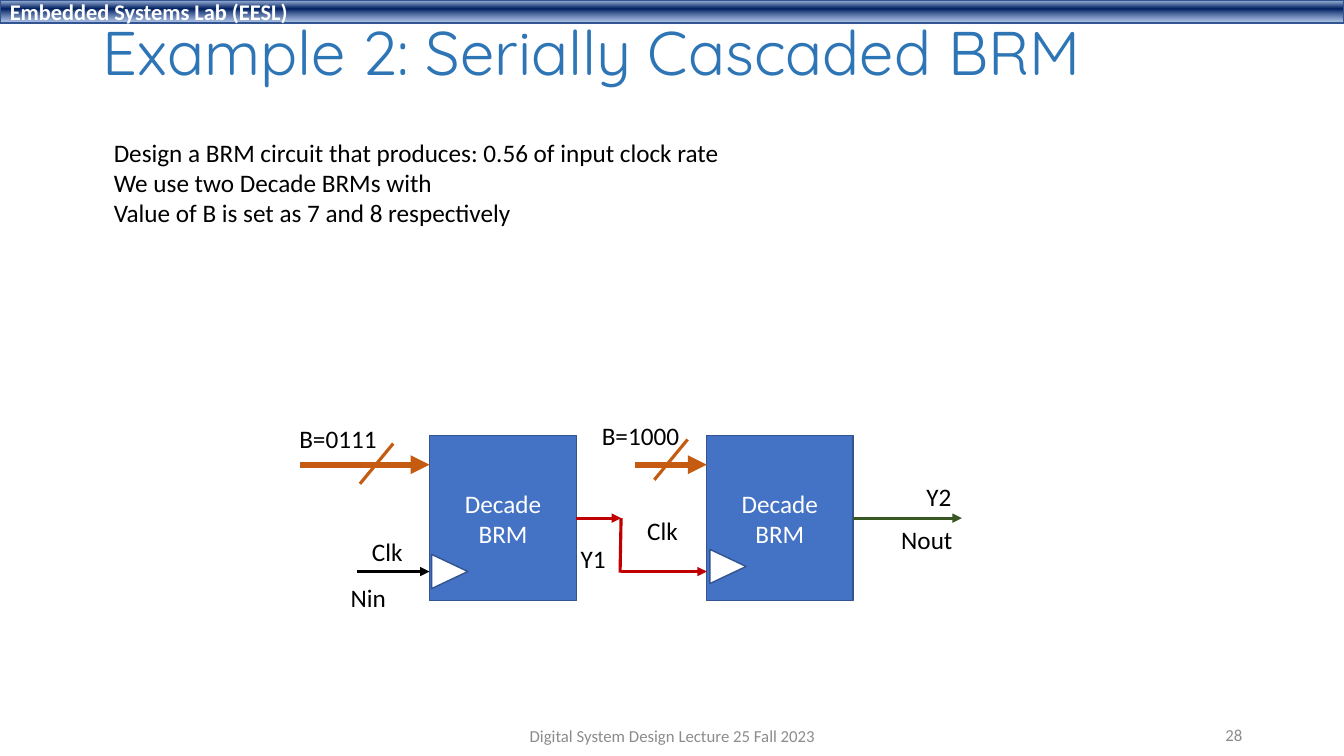
from dataclasses import dataclass

import lxml.etree
import pptx
import pptx.dml.color
import pptx.enum.shapes
import pptx.enum.text
import pptx.oxml.ns
import pptx.shapes.autoshape
import pptx.slide
import pptx.util

Inches = pptx.util.Inches
Pt = pptx.util.Pt
RGB = pptx.dml.color.RGBColor.from_string
Shape = pptx.enum.shapes.MSO_SHAPE
Align = pptx.enum.text.PP_ALIGN
Anchor = pptx.enum.text.MSO_ANCHOR
AutoSize = pptx.enum.text.MSO_AUTO_SIZE
qn = pptx.oxml.ns.qn


@dataclass(frozen=True)
class Theme:
    body_font: str = "Calibri"
    title_font: str = "Quicksand"
    title_size: float = 44
    body_size: float = 18
    header_size: float = 16
    footer_size: float = 12
    title: str = "2E75B6"
    text: str = "000000"
    white: str = "FFFFFF"
    footer: str = "8C8C8C"
    block: str = "4472C4"
    outline: str = "325491"
    bus: str = "C55A11"
    cascade: str = "C00000"
    output: str = "385723"
    # position %, colour, opacity %
    header_stops: tuple[tuple[int, str, int], ...] = (
        (2, "ABC0E4", 100), (38, "002060", 100), (93, "7E9ED6", 64))


THEME = Theme()


@dataclass(frozen=True)
class Box:
    left: float
    top: float
    width: float
    height: float

    def emu(self) -> tuple[int, ...]:
        return tuple(Inches(v) for v in (self.left, self.top, self.width, self.height))


@dataclass(frozen=True)
class Style:
    size: float = THEME.body_size
    color: str = THEME.text
    font: str = THEME.body_font
    bold: bool = False
    align: Align = Align.LEFT
    anchor: Anchor = Anchor.TOP
    line_spacing: float = 1.0


@dataclass(frozen=True)
class Wire:
    start: tuple[float, float]
    end: tuple[float, float]
    color: str
    width: float = 2.25
    arrow: bool = True


@dataclass(frozen=True)
class Label:
    text: str
    left: float
    top: float
    width: float


@dataclass(frozen=True)
class Stage:
    block: Box
    clock_mark: Box
    bus_start: float
    slash_top: tuple[float, float]


LABEL_HEIGHT = 0.4
BUS_Y, OUT_Y, CLOCK_Y = 4.61, 5.14, 5.67

STAGES = (
    Stage(Box(4.26, 4.32, 1.46, 1.64), Box(4.29, 5.49, 0.34, 0.36), 2.98, (3.9, 4.4)),
    Stage(Box(7.01, 4.32, 1.45, 1.64), Box(7.05, 5.44, 0.34, 0.36), 6.3, (6.82, 4.36)),
)

WIRES = (
    Wire((3.54, CLOCK_Y), (4.26, CLOCK_Y), THEME.text),
    Wire((5.71, OUT_Y), (6.16, OUT_Y), THEME.cascade),
    Wire((6.16, OUT_Y), (6.15, 5.68), THEME.cascade, arrow=False),
    Wire((6.16, CLOCK_Y), (7.01, CLOCK_Y), THEME.cascade),
    Wire((8.46, OUT_Y), (9.54, OUT_Y), THEME.output),
)

LABELS = (
    Label("B=0111", 2.87, 4.15, 0.98),
    Label("B=1000", 5.87, 4.12, 0.98),
    Label("Y1", 5.66, 5.34, 0.45),
    Label("Y2", 9.09, 4.73, 0.45),
    Label("Clk", 3.59, 5.27, 0.51),
    Label("Clk", 6.32, 5.06, 0.51),
    Label("Nin", 3.38, 5.73, 0.56),
    Label("Nout", 8.84, 5.15, 0.72),
)


def write(sp: pptx.shapes.autoshape.Shape, lines: tuple[str, ...], style: Style) -> None:
    tf = sp.text_frame
    tf.word_wrap = True
    tf.vertical_anchor = style.anchor
    for i, line in enumerate(lines):
        p = tf.add_paragraph() if i else tf.paragraphs[0]
        p.alignment = style.align
        p.line_spacing = style.line_spacing
        r = p.add_run()
        r.text = line
        r.font.name = style.font
        r.font.size = Pt(style.size)
        r.font.bold = style.bold
        r.font.color.rgb = RGB(style.color)


def add_text(s: pptx.slide.Slide, box: Box, lines: tuple[str, ...],
             style: Style) -> pptx.shapes.autoshape.Shape:
    sp = s.shapes.add_textbox(*box.emu())
    write(sp, lines, style)
    return sp


def add_solid(s: pptx.slide.Slide, kind: Shape, box: Box,
              fill: str) -> pptx.shapes.autoshape.Shape:
    sp = s.shapes.add_shape(kind, *box.emu())
    sp.shadow.inherit = False
    sp.fill.solid()
    sp.fill.fore_color.rgb = RGB(fill)
    sp.line.color.rgb = RGB(THEME.outline)
    sp.line.width = Pt(1)
    return sp


def add_header(s: pptx.slide.Slide) -> None:
    sp = add_solid(s, Shape.RECTANGLE, Box(0, 0, 13.33, 0.23), THEME.block)
    sp.fill.gradient()
    sp.fill.gradient_angle = 270
    stops = sp.element.spPr.find(".//" + qn("a:gsLst"))
    for stop in list(stops):
        stops.remove(stop)
    for position, color, opacity in THEME.header_stops:
        stop = lxml.etree.SubElement(stops, qn("a:gs"), pos=str(position * 1000))
        clr = lxml.etree.SubElement(stop, qn("a:srgbClr"), val=color)
        lxml.etree.SubElement(clr, qn("a:alpha"), val=str(opacity * 1000))
    write(sp, ("Embedded Systems Lab (EESL)",),
          Style(THEME.header_size, THEME.white, bold=True, anchor=Anchor.MIDDLE))


def add_wire(s: pptx.slide.Slide, wire: Wire) -> None:
    ends = (Inches(v) for v in wire.start + wire.end)
    cxn = s.shapes.add_connector(pptx.enum.shapes.MSO_CONNECTOR.STRAIGHT, *ends)
    cxn.line.color.rgb = RGB(wire.color)
    cxn.line.width = Pt(wire.width)
    if wire.arrow:
        lxml.etree.SubElement(cxn.line._get_or_add_ln(), qn("a:tailEnd"), type="triangle")
    lxml.etree.SubElement(cxn._element.spPr, qn("a:effectLst"))


def add_stage(s: pptx.slide.Slide, stage: Stage) -> None:
    """Draw a multiplier block with its clock mark and slashed input bus."""
    sp = add_solid(s, Shape.RECTANGLE, stage.block, THEME.block)
    write(sp, ("Decade", "BRM"),
          Style(color=THEME.white, align=Align.CENTER, anchor=Anchor.MIDDLE))
    mark = add_solid(s, Shape.ISOSCELES_TRIANGLE, stage.clock_mark, THEME.white)
    mark.rotation = 90
    add_wire(s, Wire((stage.bus_start, BUS_Y), (stage.block.left, BUS_Y), THEME.bus, 4.5))
    x, y = stage.slash_top
    add_wire(s, Wire((x, y), (x - 0.33, y + 0.4), THEME.bus, arrow=False))


def add_label(s: pptx.slide.Slide, label: Label) -> None:
    box = Box(label.left, label.top, label.width, LABEL_HEIGHT)
    sp = add_text(s, box, (label.text,), Style())
    sp.text_frame.word_wrap = False
    sp.text_frame.auto_size = AutoSize.SHAPE_TO_FIT_TEXT


def main() -> None:
    prs = pptx.Presentation()
    prs.slide_width, prs.slide_height = Inches(13.33), Inches(7.5)
    s = prs.slides.add_slide(prs.slide_layouts[6])

    add_header(s)
    add_text(s, Box(0.92, 0.1, 11.5, 0.91), ("Example 2: Serially Cascaded BRM",),
             Style(THEME.title_size, THEME.title, THEME.title_font,
                   anchor=Anchor.MIDDLE, line_spacing=0.9))
    task = add_text(s, Box(1.03, 1.31, 6.71, 1.01), (
        "Design a BRM circuit that produces: 0.56 of input clock rate",
        "We use two Decade BRMs with",
        "Value of B is set as 7 and 8 respectively"), Style())
    task.text_frame.auto_size = AutoSize.SHAPE_TO_FIT_TEXT

    for stage in STAGES:
        add_stage(s, stage)
    for wire in WIRES:
        add_wire(s, wire)
    for label in LABELS:
        add_label(s, label)

    for box, text, align in (
            (Box(4.42, 7.1, 4.5, 0.4), "Digital System Design Lecture 25 Fall 2023", Align.CENTER),
            (Box(9.42, 7.09, 3, 0.4), "28", Align.RIGHT)):
        add_text(s, box, (text,),
                 Style(THEME.footer_size, THEME.footer, align=align, anchor=Anchor.MIDDLE))
    prs.save("out.pptx")


if __name__ == "__main__":
    main()
